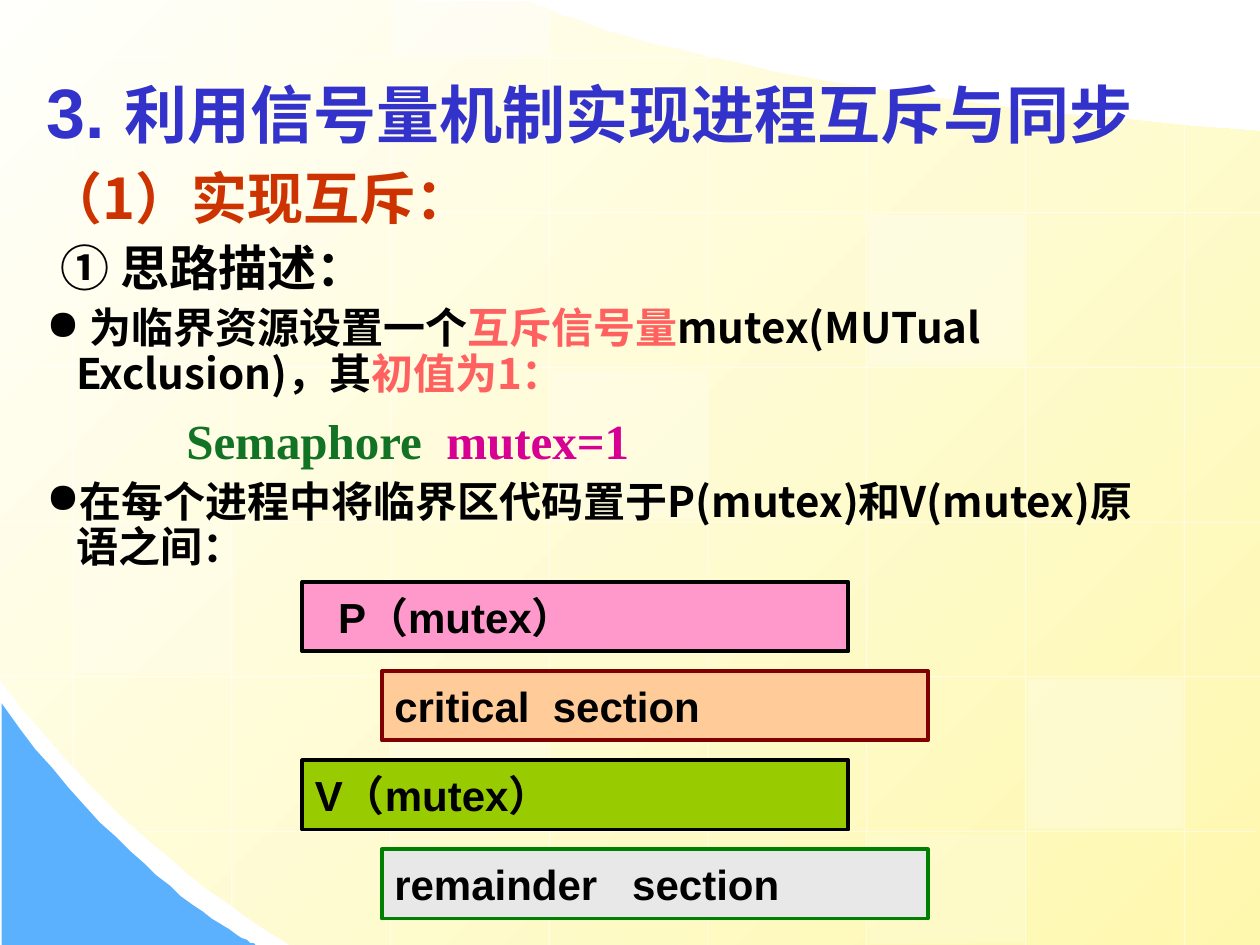
from lxml import etree
from pptx import Presentation
from pptx.dml.color import RGBColor
from pptx.enum import shapes, text
from pptx.oxml import ns
from pptx.util import Pt

BLACK = RGBColor(0, 0, 0)
WHITE = RGBColor(255, 255, 255)
CREAM = RGBColor(0xFF, 0xFF, 0xFB)
GOLD = RGBColor(0xFE, 0xF8, 0xAF)
SKY = RGBColor(0x5C, 0xB1, 0xFE)
BLUE = RGBColor(0x33, 0x33, 0xCC)
RUST = RGBColor(0xCC, 0x33, 0)
CORAL = RGBColor(0xFF, 0x61, 0x61)
GREEN = RGBColor(0x13, 0x73, 0x25)
PLUM = RGBColor(0xD6, 0, 0x93)
PINK = RGBColor(0xFF, 0x99, 0xCC)
PEACH = RGBColor(0xFF, 0xCC, 0x99)
LIME = RGBColor(0x99, 0xCC, 0)
GRAY = RGBColor(0xE8, 0xE8, 0xE8)
MAROON = RGBColor(0x80, 0, 0)
LEAF = RGBColor(0, 0x80, 0)
SANS, HAN, SERIF = "Arial", "Noto Sans CJK SC", "Times New Roman"

# Content: runs are (text, size, font, colour)
TITLE = [("3. ", 40, SANS, BLUE), ("利用信号量机制实现进程互斥与同步", 36, SANS, BLUE)]
# (space before, left indent, bullet, runs)
BODY = [
    (0, 0, False, [("（1）实现互斥：", 32, HAN, RUST)]),
    (7, 8, False, [("① 思路描述：", 28, SANS, BLACK)]),
    (6, 17, True, [(" 为临界资源设置一个", 24, HAN, BLACK),
                   ("互斥信号量", 24, HAN, CORAL),
                   ("mutex(MUTual Exclusion)，其", 24, HAN, BLACK),
                   ("初值为1：", 24, HAN, CORAL)]),
    (11, 80, False, [("Semaphore  ", 28, SERIF, GREEN), ("mutex=1", 28, SERIF, PLUM)]),
    (6, 17, True, [("在每个进程中将临界区代码置于P(mutex)和V(mutex)原语之间：",
                    24, HAN, BLACK)]),
]
# (text, text indent, fill, border); every second step is set in
STEPS = [
    ("P（mutex）", 13.3, PINK, BLACK),
    ("critical  section", 0, PEACH, MAROON),
    ("V（mutex）", 0, LIME, BLACK),
    ("remainder   section", 0, GRAY, LEAF),
]

# Backdrop: start point, then straight points or Bezier triples
PAGE = [(720, 75), [(720, 307), (720, 540), (720, 540)],
        [(720, 540), (443, 540), (165.6, 540)],
        [(62, 476), (-0.7, 388), (0, 388)], (-0.7, -0.7), (303, 0.7),
        [(303, 0.7), (387, 50), (720, 75)]]
CORNER = [(0.7, 402.5), (0.7, 540), (146, 540),
          [(146, 540), (80.6, 510.5), (0.7, 402.5)]]
COLS = [(0, 438.5), (0, 518), (0, 540), (0, 540),
        (31, 540), (49, 540), (61, 540), (70.5, 540)]
ROWS = [(0, 409), (0, 720), (0, 720), (0, 720), (0, 720), (80, 718)]
# (column, row, height, opacity); row -1 touches the top edge
TILES = [(3, 2, 85, 25), (6, 4, 85, 30), (0, 3, 85, 20), (5, 5, 62.6, 20),
         (2, -1, 31.7, 40), (2, 4, 85, 30), (5, 1, 85, 30)]
X0, DX, Y0, DY = 41.8, 90.7, 33.1, 88.4


def curve(start, ctrl, n=24):
    pts = (start, *ctrl)
    for i in range(1, n + 1):
        t = i / n
        w = ((1 - t) ** 3, 3 * t * (1 - t) ** 2, 3 * t * t * (1 - t), t ** 3)
        yield tuple(sum(k * p[a] for k, p in zip(w, pts)) for a in (0, 1))


def outline(slide, parts):
    pts = [parts[0]]
    for part in parts[1:]:
        pts += list(curve(pts[-1], part)) if isinstance(part, list) else [part]
    form = slide.shapes.build_freeform(*pts[0], scale=12700)
    form.add_line_segments(pts[1:], close=True)
    shape = form.convert_to_shape()
    shape.shadow.inherit = False
    shape.line.fill.background()
    return shape


def fade(shape, pct):
    clr = shape._element.spPr.find(".//" + ns.qn("a:srgbClr"))
    etree.SubElement(clr, ns.qn("a:alpha"), val=str(pct * 1000))


def rule(slide, *ends):
    line = slide.shapes.add_connector(
        shapes.MSO_CONNECTOR.STRAIGHT, *[Pt(v) for v in ends])
    line.line.color.rgb = WHITE
    line.line.width = Pt(0.75)
    fade(line, 50)
    etree.SubElement(line._element.spPr, ns.qn("a:effectLst"))


def block(slide, x, y, w, h, fill):
    shape = slide.shapes.add_shape(
        shapes.MSO_SHAPE.RECTANGLE, Pt(x), Pt(y), Pt(w), Pt(h))
    shape.shadow.inherit = False
    shape.fill.solid()
    shape.fill.fore_color.rgb = fill
    return shape


def setup(frame, anchor):
    look = dict(word_wrap=True, auto_size=text.MSO_AUTO_SIZE.NONE,
                vertical_anchor=anchor, margin_left=Pt(7.2), margin_right=Pt(7.2),
                margin_top=Pt(3.6), margin_bottom=Pt(3.6))
    for key, val in look.items():
        setattr(frame, key, val)


def write(para, runs, space=0.9, before=0, left=0, bullet=False):
    props = para._p.get_or_add_pPr()
    props.set("marL", str(Pt(left)))
    props.set("indent", str(Pt(-left if bullet else 0)))
    if bullet:
        clr = etree.SubElement(props, ns.qn("a:buClr"))
        etree.SubElement(clr, ns.qn("a:srgbClr"), val=str(BLACK))
        etree.SubElement(props, ns.qn("a:buChar"), char="●")
    else:
        etree.SubElement(props, ns.qn("a:buNone"))
    para.alignment = text.PP_ALIGN.LEFT
    para.line_spacing = space
    para.space_before = Pt(before)
    for words, size, face, color in runs:
        run = para.add_run()
        run.text = words
        for key, val in dict(size=Pt(size), name=face, bold=True).items():
            setattr(run.font, key, val)
        run.font.color.rgb = color
        latin = run._r.rPr.find(ns.qn("a:latin"))
        latin.addnext(latin.makeelement(ns.qn("a:ea"), {"typeface": HAN}))


def main():
    prs = Presentation()
    prs.slide_width, prs.slide_height = Pt(720), Pt(540)
    slide = prs.slides.add_slide(prs.slide_layouts[5])

    # Backdrop
    page = outline(slide, PAGE)
    page.fill.gradient()
    page.fill.gradient_angle = 315
    for stop, color in zip(page.fill.gradient_stops, (CREAM, GOLD)):
        stop.color.rgb = color
    corner = outline(slide, CORNER)
    corner.fill.solid()
    corner.fill.fore_color.rgb = SKY

    # Grid lines and pale tiles
    for i, (top, end) in enumerate(COLS):
        rule(slide, X0 + i * DX, top, X0 + i * DX, end)
    for i, (left, end) in enumerate(ROWS):
        rule(slide, left, Y0 + i * DY, end, Y0 + i * DY)
    for col, row, high, pct in TILES:
        y = max(0, Y0 + row * DY + 1.5)
        tile = block(slide, X0 + col * DX + 1.4, y, 88.6, high, WHITE)
        tile.line.fill.background()
        fade(tile, pct)

    # Title, in front of the backdrop
    title = slide.shapes.title
    slide.shapes._spTree.append(title._element)
    title.left, title.top, title.width, title.height = [
        Pt(v) for v in (19.4, 38.2, 663, 56)]
    setup(title.text_frame, text.MSO_ANCHOR.MIDDLE)
    write(title.text_frame.paragraphs[0], TITLE)

    # Body text
    body = slide.shapes.add_textbox(Pt(19.4), Pt(94.3), Pt(635), Pt(204.5)).text_frame
    setup(body, text.MSO_ANCHOR.TOP)
    for i, (before, left, bullet, runs) in enumerate(BODY):
        para = body.add_paragraph() if i else body.paragraphs[0]
        write(para, runs, before=before, left=left, bullet=bullet)

    # Code steps
    for i, (words, left, fill, edge) in enumerate(STEPS):
        step = block(slide, 172.8 + i % 2 * 45.4, 332.6 + i * 50.9, 312, 39.6, fill)
        step.line.color.rgb = edge
        step.line.width = Pt(2.25)
        setup(step.text_frame, text.MSO_ANCHOR.MIDDLE)
        write(step.text_frame.paragraphs[0], [(words, 24, SANS, BLACK)], 1, left=left)

    prs.save("out.pptx")


if __name__ == "__main__":
    main()
